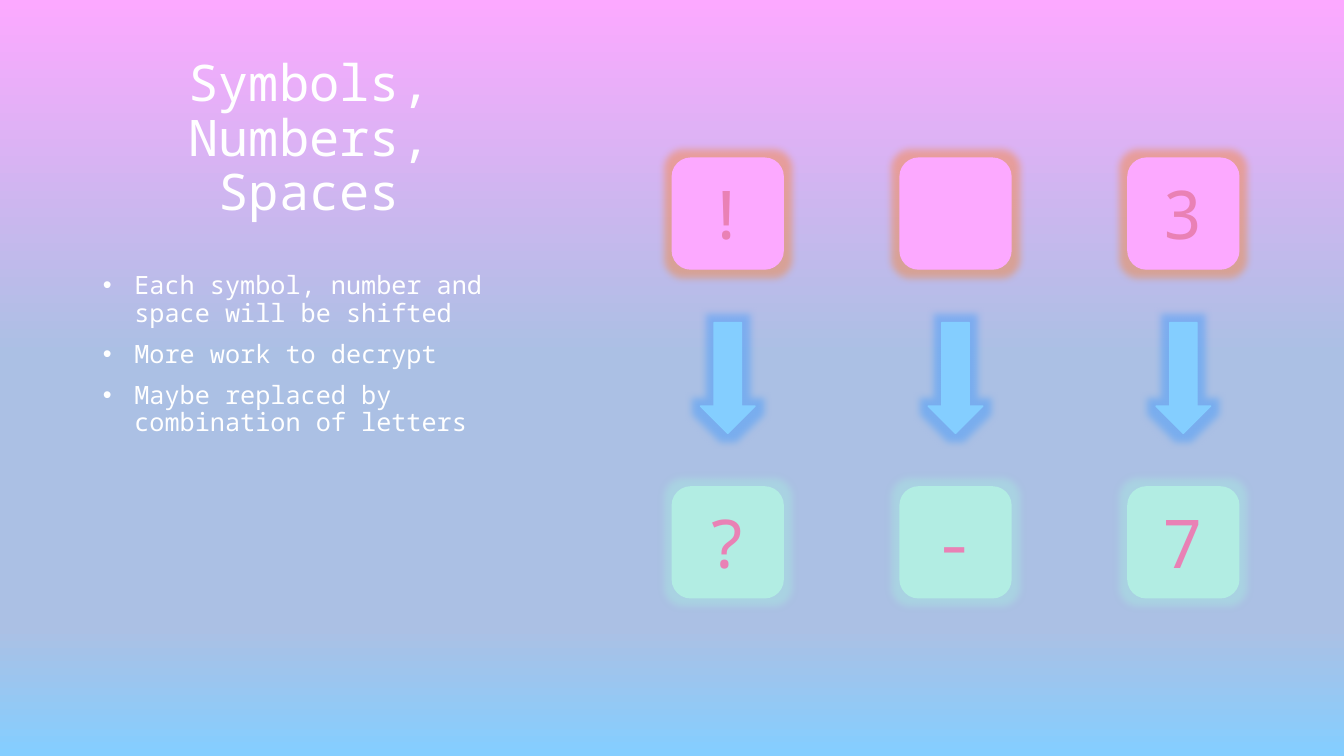
from copy import deepcopy

from lxml import etree
from pptx import Presentation
from pptx import util as u
from pptx.dml.color import RGBColor
from pptx.enum import shapes, text
from pptx.oxml.ns import qn

PINK, BLUE, MINT, ROSE, WHITE = "FCA9FF", "84CEFF", "B2EDE3", "E981B5", "FFFFFF"
HAZE = "ABC0E4"


def write(para, words, size, colour, **layout):
    """Put one styled run in a paragraph and apply its layout values."""
    span = para.add_run()
    span.text = words
    for name, value in {"name": "Noto Sans Mono", "size": u.Pt(size)}.items():
        setattr(span.font, name, value)
    span.font.color.rgb = RGBColor.from_string(colour)
    for name, value in layout.items():
        setattr(para, name, value)


def add_glowing(kind, left, top, width, height, colour, glow_colour):
    shape = page.shapes.add_shape(kind, *map(u.Pt, (left, top, width, height)))
    shape.fill.solid()
    shape.fill.fore_color.rgb = RGBColor.from_string(colour)
    shape.line.color.rgb = RGBColor.from_string(colour)
    shape.line.width = u.Pt(1)
    shape.shadow.inherit = False
    effects = shape._element.spPr.find(qn("a:effectLst"))
    glow = etree.SubElement(effects, qn("a:glow"), rad=str(u.Pt(11)))
    tint = etree.SubElement(glow, qn("a:srgbClr"), val=glow_colour)
    etree.SubElement(tint, qn("a:alpha"), val="40000")


deck = Presentation()
deck.slide_width, deck.slide_height = u.Pt(960), u.Pt(540)
page = deck.slides.add_slide(deck.slide_layouts[1])

# Background gradient, top to bottom
backdrop = page.background.fill
backdrop.gradient()
backdrop.gradient_angle = 270
stop_list = page._element.find(".//" + qn("a:gsLst"))
for stop in list(stop_list):
    stop_list.append(deepcopy(stop))
gradient = [(0, PINK), (0.47, HAZE), (0.83, HAZE), (1, BLUE)]
for stop, (position, colour) in zip(backdrop.gradient_stops, gradient):
    stop.position = position
    stop.color.rgb = RGBColor.from_string(colour)

# Title and bullet list
title, body = page.placeholders
for box, top, height, anchor in [
    (title, 36, 126, text.MSO_ANCHOR.BOTTOM),
    (body, 162, 300, text.MSO_ANCHOR.TOP),
]:
    frame = {"left": 66.24, "top": top, "width": 309.6, "height": height}
    for name, value in frame.items():
        setattr(box, name, u.Pt(value))
    box.text_frame.auto_size = text.MSO_AUTO_SIZE.NONE
    box.text_frame.vertical_anchor = anchor

write(title.text_frame.paragraphs[0], "Symbols, Numbers, Spaces", 36, WHITE,
      alignment=text.PP_ALIGN.CENTER, line_spacing=0.9)

body.text_frame.margin_top = u.Pt(33)
points = [
    "Each symbol, number and space will be shifted",
    "More work to decrypt",
    "Maybe replaced by combination of letters",
]
for index, point in enumerate(points):
    para = body.text_frame.paragraphs[0] if index == 0 else body.text_frame.add_paragraph()
    write(para, point, 18, WHITE, line_spacing=0.9, space_before=u.Pt(10 if index else 0))
    properties = para._p.get_or_add_pPr()
    properties.set("marL", str(u.Pt(22.5)))
    properties.set("indent", str(u.Pt(-22.5)))
    etree.SubElement(properties, qn("a:buChar"), char="•")

# Three columns: plain tile, arrow, shifted tile
TILE, ARROW_WIDTH = 79.2, 39
columns = [480.24 + 162.72 * index for index in range(3)]
rows = [(113, PINK, "FF7D19", ["!", "", "3"]), (347.8, MINT, "A8F0E0", ["?", "-", "7"])]

for top, colour, glow_colour, symbols in rows:
    for left in columns:
        add_glowing(shapes.MSO_SHAPE.ROUNDED_RECTANGLE, left, top, TILE, TILE, colour, glow_colour)
for left in columns:
    add_glowing(shapes.MSO_SHAPE.DOWN_ARROW, left + (TILE - ARROW_WIDTH) / 2, 230.4,
                ARROW_WIDTH, TILE, BLUE, "3093FF")

for top, colour, glow_colour, symbols in rows:
    for left, symbol in zip(columns, symbols):
        if symbol:
            box = page.shapes.add_textbox(u.Pt(left + 3), u.Pt(top + 6.5), u.Pt(72), u.Pt(65.5))
            box.text_frame.word_wrap = True
            box.text_frame.auto_size = text.MSO_AUTO_SIZE.SHAPE_TO_FIT_TEXT
            write(box.text_frame.paragraphs[0], symbol, 48, ROSE,
                  alignment=text.PP_ALIGN.CENTER)

deck.save("out.pptx")
